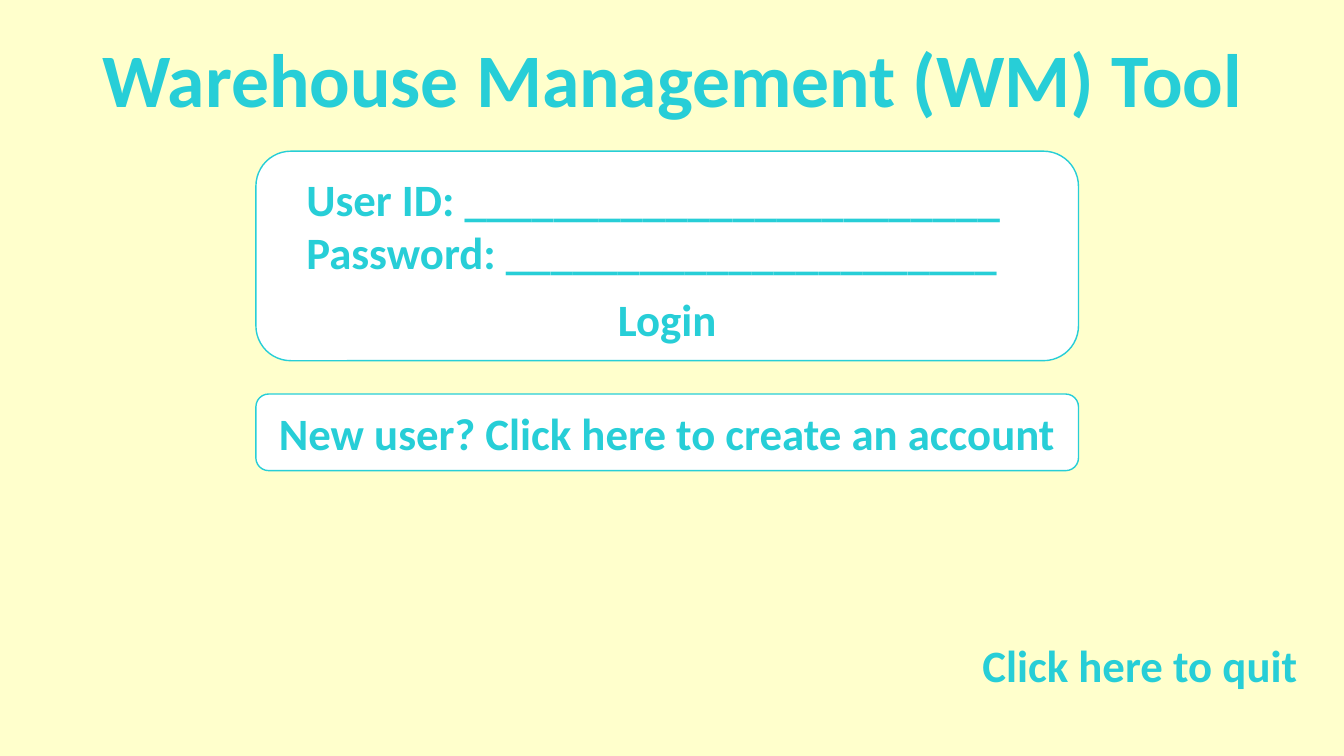
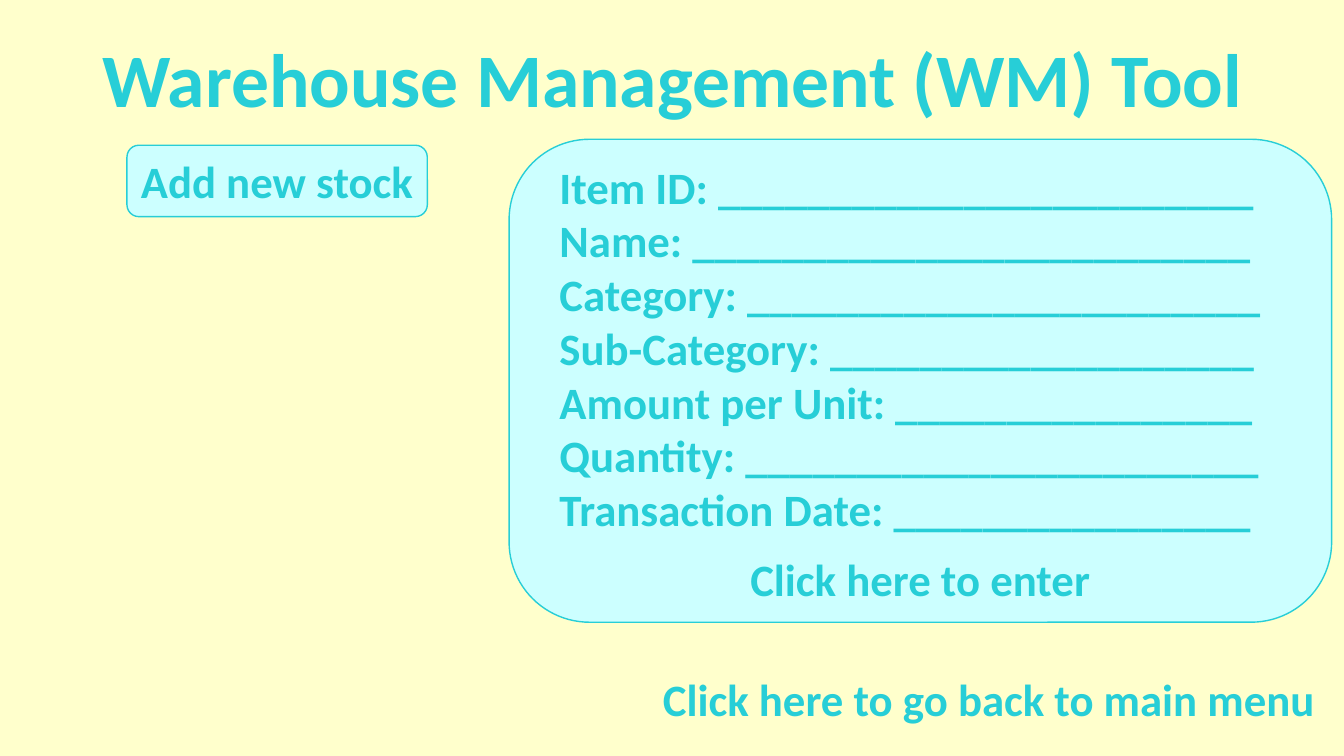
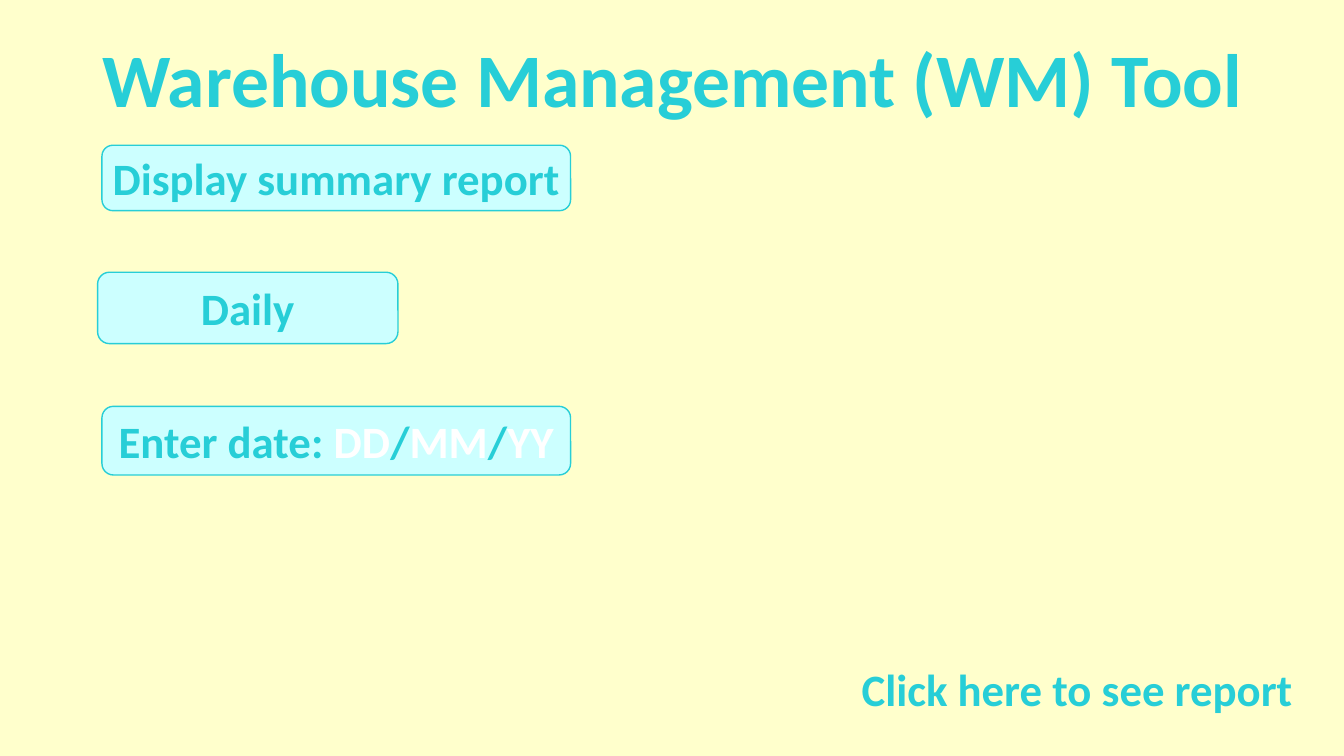
from pptx import Presentation
from pptx.dml.color import RGBColor
from pptx.enum.shapes import MSO_SHAPE as SHAPE
from pptx.enum.text import MSO_ANCHOR as ANCHOR, MSO_AUTO_SIZE as AUTO, PP_ALIGN as ALIGN
from pptx.util import Cm, Pt

CREAM, WHITE, AQUA, TEAL = "FFFFCC", "FFFFFF", "CCFFFF", "27CED7"
TITLE = "Warehouse Management (WM) Tool"
TITLE_BOX = (2.18, 0.66, 29.54, 2.57)
PANEL_W, LABEL_H, LINE_H = 20.73, 1.63, 1.37


def rgb(color):
    return RGBColor.from_string(color)


def add_run(p, text, color=TEAL, size=32):
    r = p.add_run()
    r.text = text
    r.font.name = "Calibri"
    r.font.size = Pt(size)
    r.font.bold = True
    r.font.color.rgb = rgb(color)


def set_up(prs):
    prs.slide_width, prs.slide_height = Cm(33.87), Cm(19.05)
    fill = prs.slide_master.background.fill
    fill.solid()
    fill.fore_color.rgb = rgb(CREAM)
    layout = prs.slide_layouts[5]
    title = layout.placeholders[0]
    title.left, title.top, title.width, title.height = map(Cm, TITLE_BOX)
    return layout


def add_page(prs, layout):
    s = prs.slides.add_slide(layout)
    tf = s.shapes.title.text_frame
    tf.auto_size = AUTO.NONE
    tf.word_wrap = False
    p = tf.paragraphs[0]
    p.alignment = ALIGN.CENTER
    add_run(p, TITLE, size=54)
    return s


def add_panel(s, box, color):
    sp = s.shapes.add_shape(SHAPE.ROUNDED_RECTANGLE, *map(Cm, box))
    sp.shadow.inherit = False
    sp.fill.solid()
    sp.fill.fore_color.rgb = rgb(color)
    sp.line.color.rgb = rgb(TEAL)
    sp.line.width = Pt(1)
    return sp


def add_button(s, box, runs, color=AQUA):
    tf = add_panel(s, box, color).text_frame
    tf.word_wrap = True
    tf.vertical_anchor = ANCHOR.MIDDLE
    tf.margin_left = tf.margin_right = tf.margin_top = tf.margin_bottom = 0
    p = tf.paragraphs[0]
    p.alignment = ALIGN.CENTER
    for text, ink in runs:
        add_run(p, text, ink)


def add_text(s, box, lines, align=ALIGN.CENTER):
    tf = s.shapes.add_textbox(*map(Cm, box)).text_frame
    tf.word_wrap = True
    for i, line in enumerate(lines):
        p = tf.add_paragraph() if i else tf.paragraphs[0]
        p.alignment = align
        add_run(p, line)


def add_form(s, box, fields, action, color):
    x, y, w, h = box
    add_panel(s, box, color)
    top, fields_h = y + 0.38, LINE_H * len(fields) + 0.25
    lines = [f"{name}: {'_' * blanks}" for name, blanks in fields]
    add_text(s, (x + 1.02, top, w - 1.04, fields_h), lines, ALIGN.LEFT)
    action_w = 9.6
    add_text(s, (x + (w - action_w) / 2, top + fields_h + 0.05, action_w, LABEL_H), [action])


def login_slide(s):
    add_button(s, (6.45, 9.93, PANEL_W, 1.93),
               [("New user? Click here to create an account", TEAL)], WHITE)
    add_text(s, (23.93, 15.95, 9.6, LABEL_H), ["Click here to quit"])
    add_form(s, (6.45, 3.81, PANEL_W, 5.28),
             [("User ID", 24), ("Password", 22)], "Login", WHITE)


def stock_slide(s):
    add_button(s, (3.2, 3.66, 7.57, 1.8), [("Add new stock", TEAL)])
    fields = [("Item ID", 24), ("Name", 25), ("Category", 23), ("Sub-Category", 19),
              ("Amount per Unit", 16), ("Quantity", 23), ("Transaction Date", 16)]
    add_form(s, (12.83, 3.51, PANEL_W, 12.17), fields, "Click here to enter", AQUA)
    add_text(s, (16, 16.79, 17.86, LABEL_H), ["Click here to go back to main menu"])


def report_slide(s):
    add_text(s, (20.85, 16.56, 12.6, LABEL_H), ["Click here to see report"])
    add_button(s, (2.46, 6.86, 7.57, 1.8), [("Daily", TEAL)])
    add_button(s, (2.57, 3.66, 11.81, 1.65), [("Display summary report", TEAL)])
    date = [("Enter date: ", TEAL), ("DD", WHITE), ("/", TEAL),
            ("MM", WHITE), ("/", TEAL), ("YY", WHITE)]
    add_button(s, (2.57, 10.24, 11.81, 1.73), date)


prs = Presentation()
layout = set_up(prs)
for build in (login_slide, stock_slide, report_slide):
    build(add_page(prs, layout))
prs.save("out.pptx")
